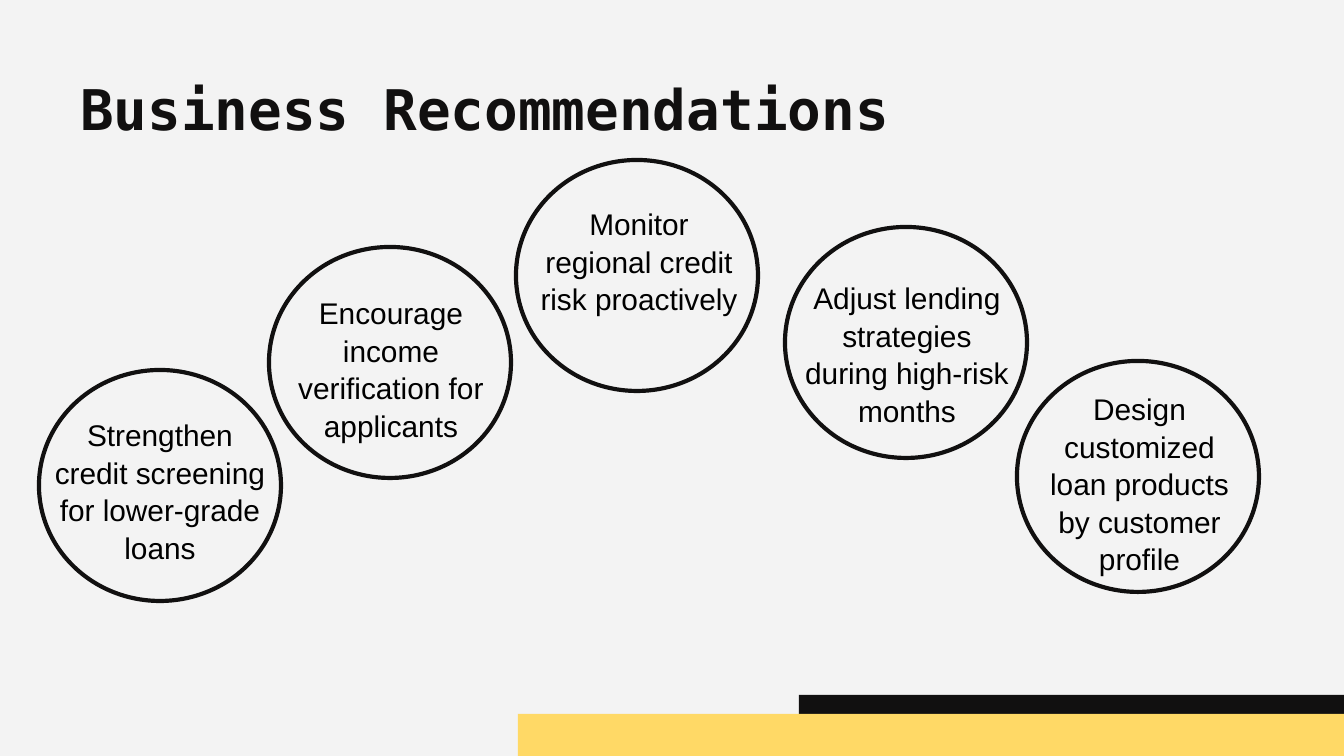
from pptx import Presentation
from pptx.dml.color import RGBColor
from pptx.enum.shapes import MSO_SHAPE as Shape
from pptx.enum.text import MSO_ANCHOR as Anchor, MSO_AUTO_SIZE as AutoSize, PP_ALIGN as Align
from pptx.util import Pt

PX = 914400 / 134.4
BACKGROUND = RGBColor(0xF3, 0xF3, 0xF3)
INK = RGBColor(0x11, 0x10, 0x10)
YELLOW = RGBColor(0xFF, 0xD9, 0x66)
BLACK = RGBColor(0, 0, 0)


def px(*lengths):
    return [round(length * PX) for length in lengths]


def format_text(shape, text, font_name, size, color, align):
    frame = shape.text_frame
    frame.word_wrap = True
    frame.auto_size = AutoSize.NONE
    frame.vertical_anchor = Anchor.TOP
    frame.margin_left, frame.margin_top, frame.margin_right, frame.margin_bottom = px(13, 13, 13, 13)
    frame.text = text
    paragraph = frame.paragraphs[0]
    paragraph.alignment = align
    paragraph.font.name = font_name
    paragraph.font.size = Pt(size)
    paragraph.font.color.rgb = color
    return paragraph


presentation = Presentation()
presentation.slide_width, presentation.slide_height = px(1344, 756)
slide = presentation.slides.add_slide(presentation.slide_layouts[5])
slide.background.fill.solid()
slide.background.fill.fore_color.rgb = BACKGROUND

# Footer bars
for color, box in [(INK, (799, 695, 545, 41)), (YELLOW, (518, 714, 826, 42))]:
    bar = slide.shapes.add_shape(Shape.RECTANGLE, *px(*box))
    bar.shadow.inherit = False
    bar.fill.solid()
    bar.fill.fore_color.rgb = color
    bar.line.fill.background()

# Title
title = slide.shapes.title
title.left, title.top, title.width, title.height = px(67, 61, 1210, 92)
paragraph = format_text(title, "Business Recommendations", "DejaVu Sans Mono", 30, INK, Align.LEFT)
paragraph.font.bold = True

# Recommendations: text, text box, top left corner of its circle
recommendations = [
    ("Strengthen credit screening for lower-grade loans", (39, 402, 242, 215), (39, 370)),
    ("Encourage income verification for applicants", (284, 280, 214, 181), (269, 247)),
    ("Monitor regional credit risk proactively", (524, 191, 230, 199), (516, 160)),
    ("Adjust lending strategies during high-risk months", (786, 265, 242, 215), (785, 227)),
    ("Design customized loan products by customer profile", (1021, 376, 237, 215), (1017, 361)),
]
for text, box, corner in recommendations:
    text_box = slide.shapes.add_textbox(*px(*box))
    paragraph = format_text(text_box, text, "Arial", 16, BLACK, Align.CENTER)
    paragraph.line_spacing = 1.05

    circle = slide.shapes.add_shape(Shape.OVAL, *px(*corner, 242, 231))
    circle.shadow.inherit = False
    circle.fill.background()
    circle.line.color.rgb = INK
    circle.line.width = Pt(2.25)

presentation.save("out.pptx")
